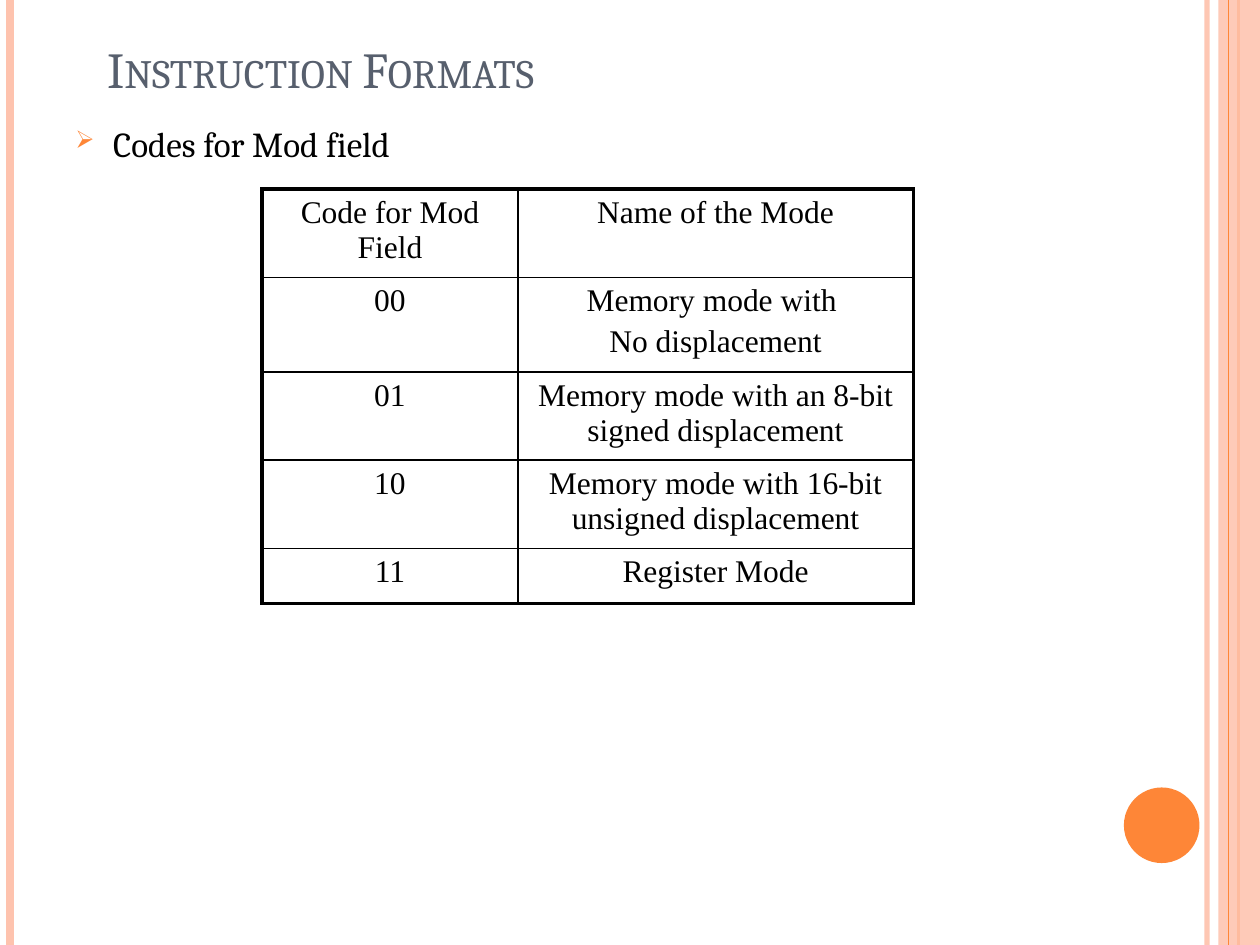
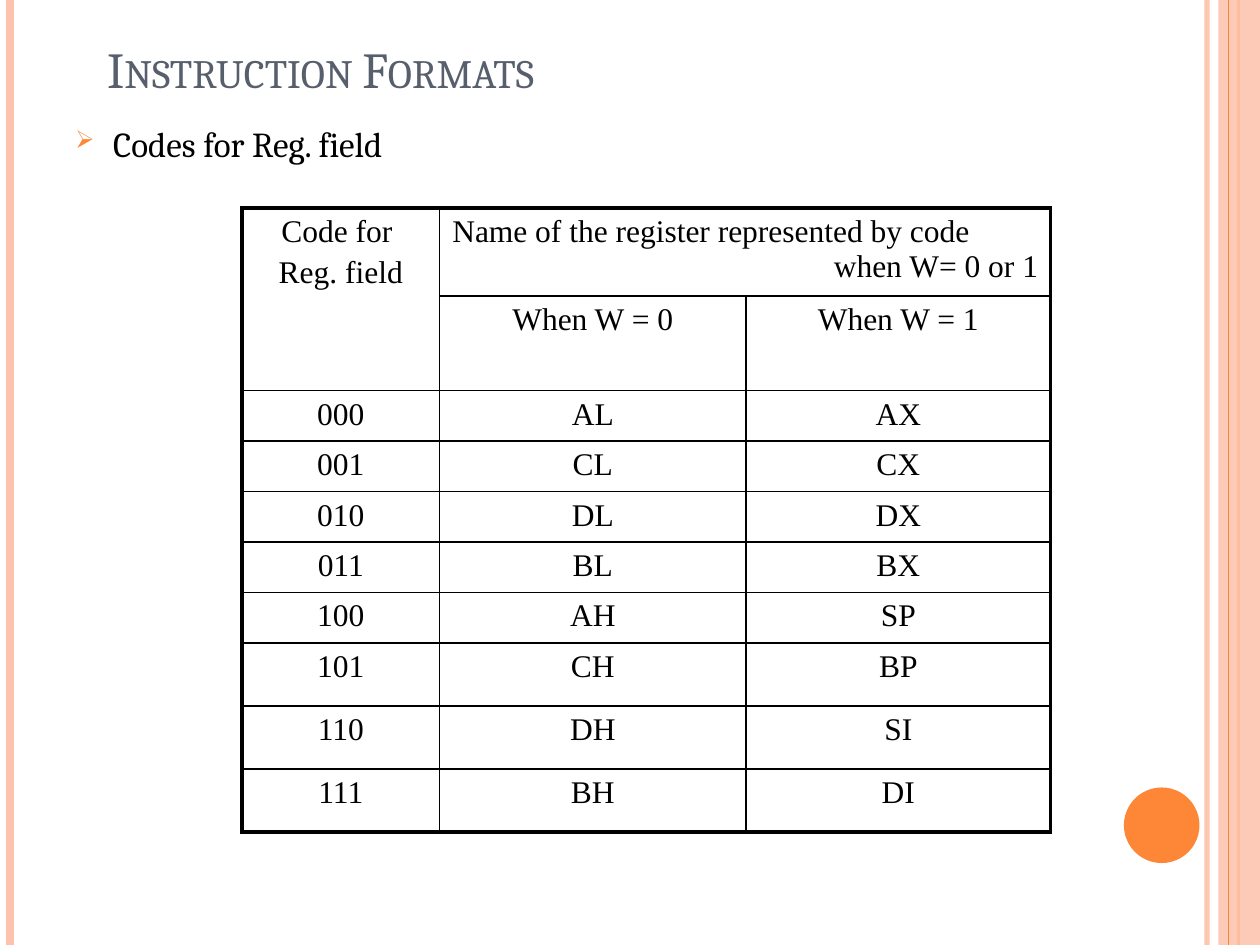
from lxml.etree import SubElement
from pptx import Presentation
from pptx.dml.color import RGBColor
from pptx.enum.shapes import MSO_CONNECTOR as Link, MSO_SHAPE as Shape
from pptx.enum.text import MSO_ANCHOR as Anchor, PP_ALIGN as Align
from pptx.oxml import parse_xml
from pptx.oxml.ns import nsdecls, qn
from pptx.util import Inches, Pt

WIDE, HIGH = 10, 7.5
ORANGE, PEACH, SLATE, BLACK = "FE8637", "FEC3AE", "575F6D", "000000"
HEAD, BODY = "Cambria", "Times New Roman"
THICK, THIN = 2.25, 1


def color(code):
    return RGBColor.from_string(code)


def inches(*sizes):
    return [Inches(size) for size in sizes]


def write(frame, lines, font=HEAD, size=20, ink=BLACK, aligns=(Align.LEFT,),
          gap=0, mark=None, small=False):
    """Fill a frame, one paragraph a line; the last of aligns serves the rest."""
    frame.word_wrap = True
    for i, line in enumerate(lines):
        para = frame.paragraphs[0] if i == 0 else frame.add_paragraph()
        if mark:
            add_mark(para, mark)
        para.alignment = aligns[min(i, len(aligns) - 1)]
        para.space_before = Pt(gap if i else 0)
        run = para.add_run()
        run.text = line
        run.font.name, run.font.size = font, Pt(size)
        run.font.color.rgb = color(ink)
        if small:
            run.font._element.set("cap", "small")


def add_mark(para, mark):
    """Hang a small orange bullet in front of a paragraph."""
    props = para._p.get_or_add_pPr()
    props.set("marL", str(Inches(0.3)))
    props.set("indent", str(Inches(-0.3)))
    tint = SubElement(props, qn("a:buClr"))
    SubElement(tint, qn("a:srgbClr"), val=ORANGE)
    SubElement(props, qn("a:buSzPct"), val="70000")
    SubElement(props, qn("a:buChar"), char=mark)


def fade(shape, percent):
    """Make the one colour of a shape partly clear."""
    tint = next(shape._element.spPr.iter(qn("a:srgbClr")))
    SubElement(tint, qn("a:alpha"), val=str(percent * 1000))


def add_rule(slide, x, ink, width):
    """Draw an upright line over the whole slide."""
    rule = slide.shapes.add_connector(Link.STRAIGHT, *inches(x, 0, x, HIGH))
    rule.line.color.rgb = color(ink)
    rule.line.width = Pt(width)
    SubElement(rule._element.spPr, qn("a:effectLst"))
    return rule


def add_block(slide, kind, box, ink):
    block = slide.shapes.add_shape(kind, *inches(*box))
    block.shadow.inherit = False
    block.fill.solid()
    block.fill.fore_color.rgb = color(ink)
    block.line.fill.background()
    return block


def add_bands(slide):
    fade(add_rule(slide, 9.58, PEACH, 3), 93)
    add_rule(slide, 0.08, PEACH, 4.5)
    add_rule(slide, 9.83, ORANGE, 1.5)
    fade(add_block(slide, Shape.RECTANGLE, (9.67, 0, 0.33, HIGH), PEACH), 87)
    add_rule(slide, 9.75, ORANGE, 0.75)
    add_block(slide, Shape.OVAL, (8.92, 6.25, 0.6, 0.6), ORANGE)


def add_page(deck, topic):
    """Add a slide with bands, title and bulleted topic."""
    slide = deck.slides.add_slide(deck.slide_layouts[5])
    add_bands(slide)
    title = slide.shapes.title
    title.left, title.top, title.width, title.height = inches(0.75, 0.25, 8.5, 0.58)
    title.text_frame.vertical_anchor = Anchor.BOTTOM
    write(title.text_frame, ["Instruction Formats"], size=28.8, ink=SLATE, small=True)
    body = slide.shapes.add_textbox(*inches(0.5, 0.92, 9, 6.17))
    write(body.text_frame, [topic], mark="➢")
    return slide


def add_edges(cell, outer):
    """Border a cell; outer tells which of left, right, top, bottom are thick."""
    props = cell._tc.get_or_add_tcPr()
    for i, (side, thick) in enumerate(zip("LRTB", outer)):
        width = Pt(THICK if thick else THIN)
        props.insert(i, parse_xml(
            f'<a:ln{side} {nsdecls("a")} w="{width}"><a:solidFill>'
            f'<a:srgbClr val="{BLACK}"/></a:solidFill></a:ln{side}>'))


def add_grid(slide, left, top, cols, rows, data, spans=()):
    """Add a table; spans are pairs of corner cells to merge."""
    frame = slide.shapes.add_table(
        len(rows), len(cols), *inches(left, top, sum(cols), sum(rows)))
    table = frame.table
    table.first_row = table.horz_banding = False
    for col, width in zip(table.columns, cols):
        col.width = Inches(width)
    for row, height in zip(table.rows, rows):
        row.height = Inches(height)
    for start, end in spans:
        table.cell(*start).merge(table.cell(*end))
    for r, line in enumerate(data):
        for c, text in enumerate(line):
            cell = table.cell(r, c)
            cell.fill.background()
            add_edges(cell, (c == 0, c + cell.span_width == len(cols),
                             r == 0, r + cell.span_height == len(rows)))
            if text:
                write(cell.text_frame, text.split("\n"), font=BODY, size=18,
                      aligns=(Align.CENTER,), gap=3.6)
    return table


def main():
    deck = Presentation()
    deck.slide_width, deck.slide_height = inches(WIDE, HIGH)

    modes = [
        ("Code for Mod Field", "Name of the Mode"),
        ("00", "Memory mode with \nNo displacement"),
        ("01", "Memory mode with an 8-bit signed displacement"),
        ("10", "Memory mode with 16-bit unsigned displacement"),
        ("11", "Register Mode"),
    ]
    slide = add_page(deck, "Codes for Mod field")
    add_grid(slide, 2.08, 1.5, [2.03, 3.14], [0.65, 0.7, 0.65, 0.65, 0.44], modes)

    bytes_, words = "AL CL DL BL AH CH DH BH", "AX CX DX BX SP BP SI DI"
    names = zip(bytes_.split(), words.split())
    regs = [
        ("Code for \nReg. field", None, None),
        (None, "When W = 0", "When W = 1"),
        *((f"{code:03b}", low, full) for code, (low, full) in enumerate(names)),
    ]
    slide = add_page(deck, "Codes for Reg. field")
    table = add_grid(slide, 1.92, 1.65, [1.57, 2.43, 2.42],
                     [0.65, 0.7] + [0.38] * 4 + [0.4] + [0.5] * 3, regs,
                     spans=[((0, 0), (1, 0)), ((0, 1), (0, 2))])
    write(table.cell(0, 1).text_frame,
          ["Name of the register represented by code", "when W= 0 or 1"],
          font=BODY, size=18, aligns=(Align.LEFT, Align.RIGHT))

    deck.save("out.pptx")


if __name__ == "__main__":
    main()
